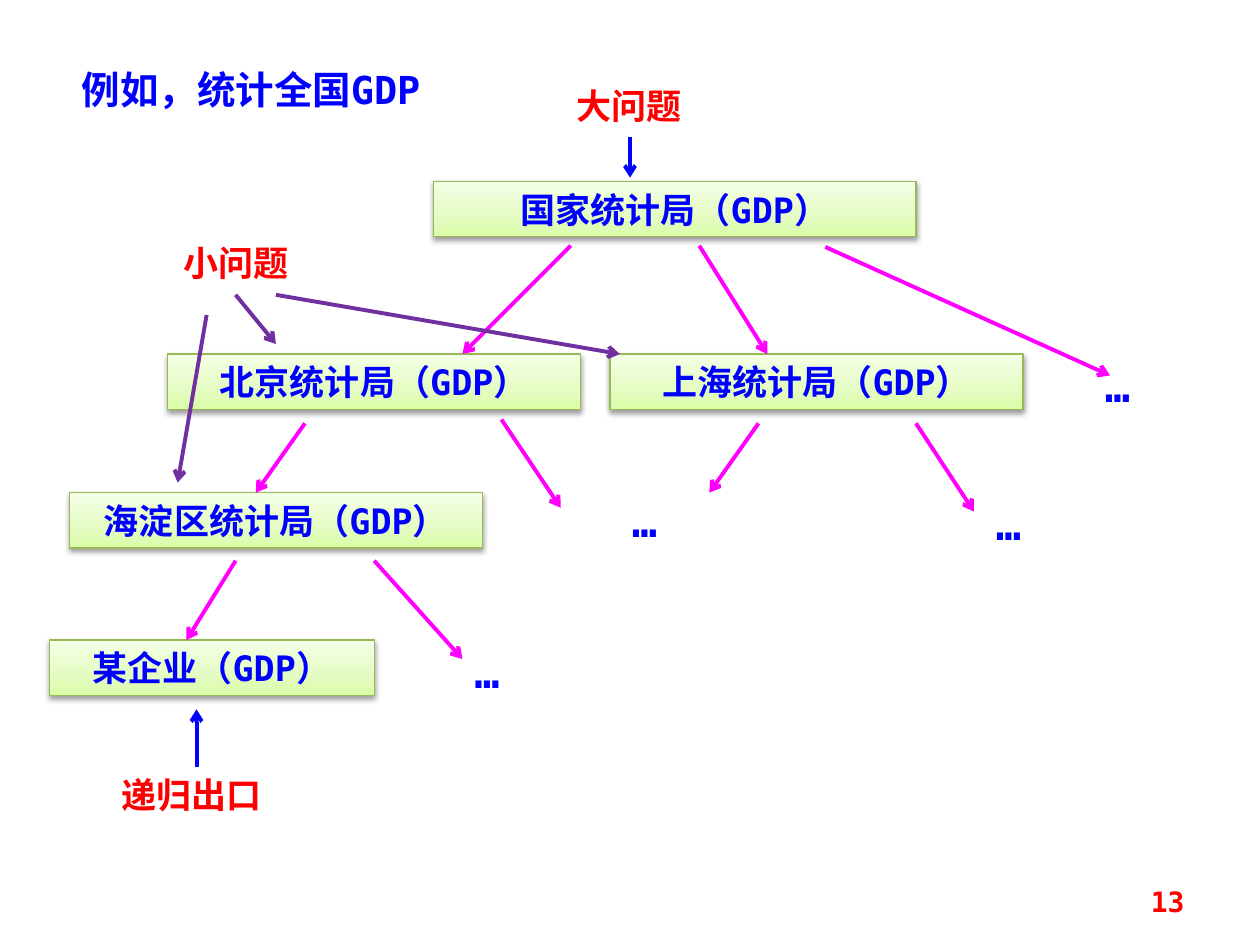
from lxml import etree
from pptx import Presentation
from pptx.dml.color import RGBColor
from pptx.enum.shapes import MSO_CONNECTOR, MSO_SHAPE
from pptx.enum.text import MSO_ANCHOR, MSO_AUTO_SIZE, PP_ALIGN
from pptx.oxml.ns import qn
from pptx.util import Pt

STRAIGHT = MSO_CONNECTOR.STRAIGHT
RECTANGLE = MSO_SHAPE.RECTANGLE
TOP, MIDDLE = MSO_ANCHOR.TOP, MSO_ANCHOR.MIDDLE
LEFT, CENTER, RIGHT = PP_ALIGN.LEFT, PP_ALIGN.CENTER, PP_ALIGN.RIGHT
GROW = MSO_AUTO_SIZE.SHAPE_TO_FIT_TEXT
PX = 9144  # 100 px to the inch


class Theme:
    font = "DejaVu Sans Mono"
    blue, red, magenta, purple = "0000FF", "FF0000", "FF00FF", "7030A0"
    box_line = "98B955"
    box_stops = [(0, "DAFDA7"), (35, "E4FCC2"), (100, "F5FFE7")]
    title_size, label_size, dots_size, number_size = 22, 20, 24, 16
    arrow_width, box_line_width = 2.25, 0.75


def write(shape, text, size, color, align=CENTER, anchor=TOP):
    frame = shape.text_frame
    frame.text = text
    frame.word_wrap = True
    frame.auto_size = GROW
    frame.vertical_anchor = anchor
    paragraph = frame.paragraphs[0]
    paragraph.alignment = align
    font = paragraph.runs[0].font
    font.name, font.size, font.bold = Theme.font, Pt(size), True
    font.color.rgb = RGBColor.from_string(color)


prs = Presentation()
prs.slide_width, prs.slide_height = 1000 * PX, 750 * PX
slide = prs.slides.add_slide(prs.slide_layouts[5])
shapes = slide.shapes

title = shapes.title
title.left, title.top, title.width, title.height = 55 * PX, 47 * PX, 352 * PX, 47 * PX
write(title, "例如，统计全国GDP", Theme.title_size, Theme.blue, LEFT)

# Statistics offices, from the whole country down to one company
BOX_HEIGHT = 44
offices = [
    ("国家统计局", 344, 144, 383),
    ("北京统计局", 133, 281, 328),
    ("上海统计局", 484, 281, 328),
    ("海淀区统计局", 55, 391, 328),
    ("某企业", 39, 508, 258),
]
for office, left, top, width in offices:
    box = shapes.add_shape(RECTANGLE, left * PX, top * PX, width * PX, BOX_HEIGHT * PX)
    box.fill.gradient()
    box.fill.gradient_angle = 90
    stops = box._element.spPr.find(qn("a:gradFill")).find(qn("a:gsLst"))
    for stop in list(stops):
        stops.remove(stop)
    for position, color in Theme.box_stops:
        stop = etree.SubElement(stops, qn("a:gs"), pos=str(position * 1000))
        etree.SubElement(stop, qn("a:srgbClr"), val=color)
    box.line.color.rgb = RGBColor.from_string(Theme.box_line)
    box.line.width = Pt(Theme.box_line_width)
    box.shadow.inherit = False
    effects = box._element.spPr.find(qn("a:effectLst"))
    shadow = etree.SubElement(effects, qn("a:outerShdw"), blurRad="40000",
                              dist="20000", dir="5400000", rotWithShape="0")
    shadow_color = etree.SubElement(shadow, qn("a:srgbClr"), val="000000")
    etree.SubElement(shadow_color, qn("a:alpha"), val="38000")
    write(box, f"{office}（GDP）", Theme.label_size, Theme.blue, anchor=MIDDLE)

# Branches that go on
for left, top, width in [(844, 281, 86), (453, 388, 117), (742, 391, 117), (328, 508, 117)]:
    dots = shapes.add_textbox(left * PX, top * PX, width * PX, 50 * PX)
    write(dots, "…", Theme.dots_size, Theme.blue)

# Names of the problem levels
for name, left, top, width in [("大问题", 437, 62, 125), ("小问题", 125, 187, 125),
                               ("递归出口", 70, 609, 164)]:
    label = shapes.add_textbox(left * PX, top * PX, width * PX, 44 * PX)
    write(label, name, Theme.label_size, Theme.red)

arrows = {
    Theme.magenta: [
        (453, 195, 367, 281), (555, 195, 609, 281), (655, 196, 881, 298),
        (242, 336, 203, 391), (398, 333, 445, 403),
        (602, 336, 563, 391), (727, 336, 773, 406),
        (187, 445, 148, 508), (297, 445, 367, 523),
    ],
    Theme.blue: [(500, 109, 500, 141), (156, 609, 156, 563)],
    Theme.purple: [(187, 234, 219, 273), (219, 234, 492, 281), (164, 250, 141, 383)],
}
for color, routes in arrows.items():
    for route in routes:
        arrow = shapes.add_connector(STRAIGHT, *(value * PX for value in route))
        arrow.line.color.rgb = RGBColor.from_string(color)
        arrow.line.width = Pt(Theme.arrow_width)
        etree.SubElement(arrow.line._get_or_add_ln(), qn("a:tailEnd"), type="arrow")
        etree.SubElement(arrow._element.spPr, qn("a:effectLst"))

page_number = shapes.add_textbox(717 * PX, 695 * PX, 233 * PX, 40 * PX)
write(page_number, "13", Theme.number_size, Theme.red, RIGHT, MIDDLE)

prs.save("out.pptx")
